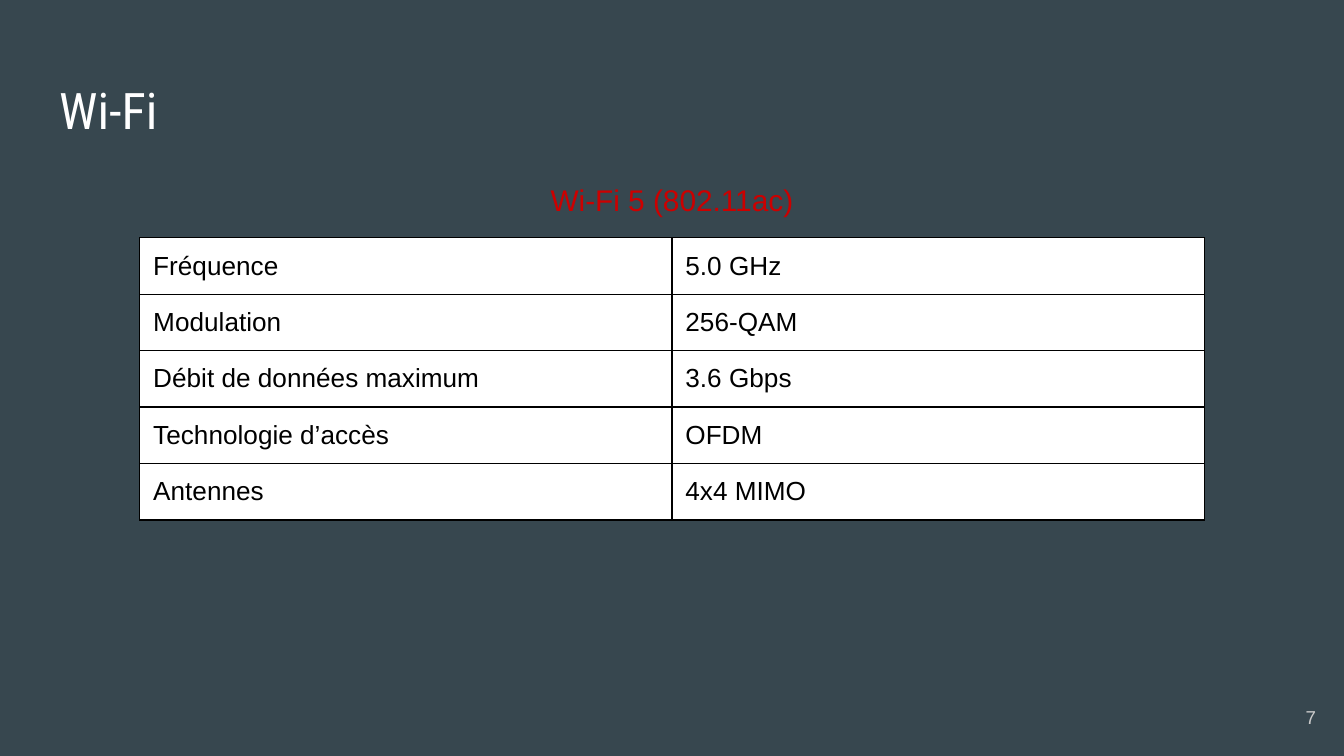
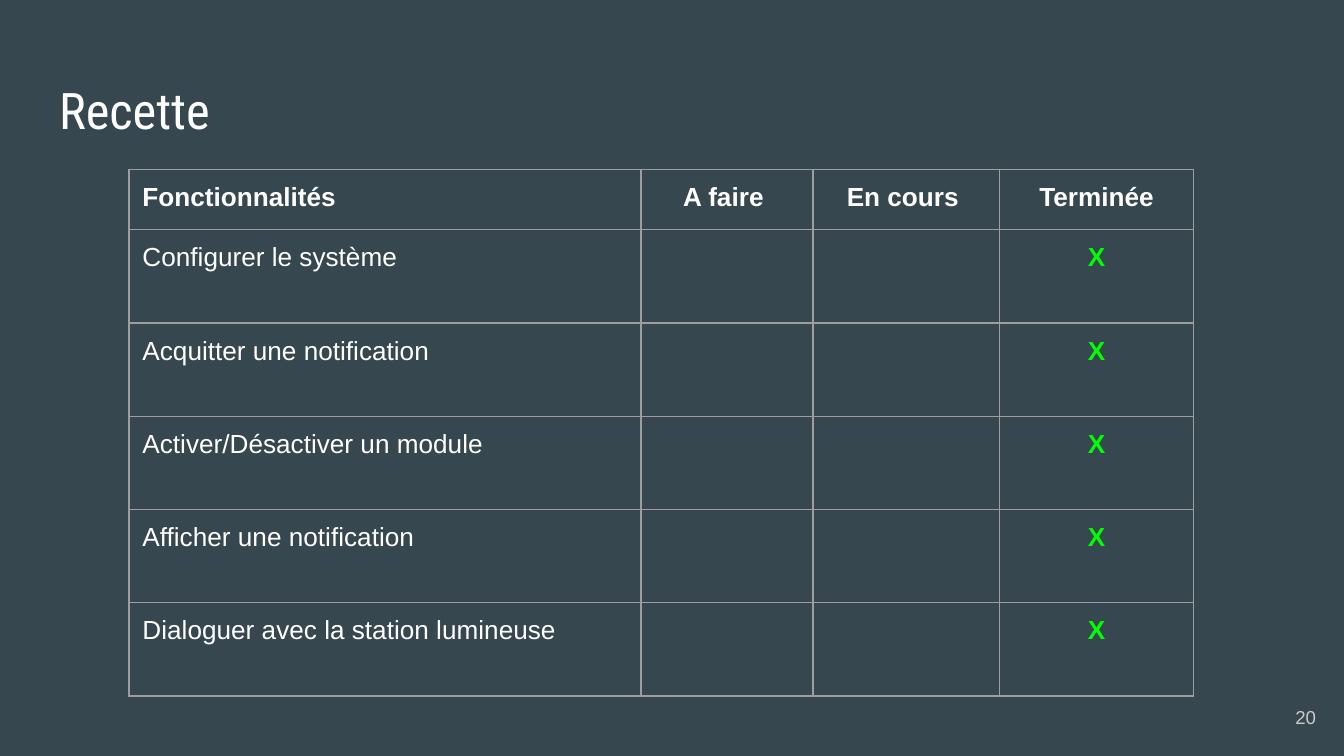
from lxml import etree
from pptx import Presentation
from pptx.dml.color import RGBColor
from pptx.enum.text import MSO_ANCHOR, PP_ALIGN
from pptx.oxml.ns import qn
from pptx.util import Inches, Pt

LEFT, MID, RIGHT = PP_ALIGN.LEFT, PP_ALIGN.CENTER, PP_ALIGN.RIGHT
TOP, CENTER = MSO_ANCHOR.TOP, MSO_ANCHOR.MIDDLE

BACK, WHITE, BLACK = "37474F", "FFFFFF", "000000"
RED, GREEN, GREY, PALE = "CC0000", "00FF00", "9E9E9E", "CACACA"
SANS, HEAD = "Arial", "Roboto Condensed"
PAD, FOOT = 0.1, 0.08

WIFI = [
    ("Fréquence", "5.0 GHz"),
    ("Modulation", "256-QAM"),
    ("Débit de données maximum", "3.6 Gbps"),
    ("Technologie d’accès", "OFDM"),
    ("Antennes", "4x4 MIMO"),
]
STATES = ("Fonctionnalités", "A faire ", "En cours ", "Terminée")
TASKS = [
    "Configurer le système",
    "Acquitter une notification",
    "Activer/Désactiver un module",
    "Afficher une notification",
    "Dialoguer avec la station lumineuse",
]


def color(code):
    return RGBColor.from_string(code)


def write(frame, text, size, code, font=SANS, align=LEFT, bold=False):
    para = frame.paragraphs[0]
    para.alignment = align
    run = para.add_run()
    run.text = text
    run.font.size = Pt(size)
    run.font.name = font
    run.font.bold = bold
    run.font.color.rgb = color(code)


def pad(item, foot=PAD):
    item.margin_left = item.margin_right = item.margin_top = Inches(PAD)
    item.margin_bottom = Inches(foot)


def place(shape, box, anchor=TOP):
    shape.left, shape.top, shape.width, shape.height = map(Inches, box)
    frame = shape.text_frame
    frame.word_wrap = True
    frame.vertical_anchor = anchor
    pad(frame)
    return frame


def add_text(slide, box, anchor=TOP):
    return place(slide.shapes.add_textbox(0, 0, 0, 0), box, anchor)


def add_slide(deck, title, page):
    slide = deck.slides.add_slide(deck.slide_layouts[5])
    fill = slide.background.fill
    fill.solid()
    fill.fore_color.rgb = color(BACK)
    frame = place(slide.shapes.title, (0.34, 0.49, 9.32, 0.63))
    write(frame, title, 27, WHITE, HEAD)
    frame = add_text(slide, (9.29, 5.12, 0.6, 0.43), CENTER)
    write(frame, page, 10, PALE, align=RIGHT)
    return slide


def add_edges(cell, code):
    props = cell._tc.get_or_add_tcPr()
    for side in ("a:lnL", "a:lnR", "a:lnT", "a:lnB"):
        line = etree.SubElement(props, qn(side), w=str(Pt(0.75)))
        solid = etree.SubElement(line, qn("a:solidFill"))
        etree.SubElement(solid, qn("a:srgbClr"), val=code)


def add_grid(slide, left, top, cols, rows, edge, back=None):
    size = map(Inches, (left, top, sum(cols), sum(rows)))
    grid = slide.shapes.add_table(len(rows), len(cols), *size).table
    grid.first_row = grid.horz_banding = False
    for col, width in zip(grid.columns, cols):
        col.width = Inches(width)
    for row, height in zip(grid.rows, rows):
        row.height = Inches(height)
    for cell in grid.iter_cells():
        pad(cell, FOOT)
        add_edges(cell, edge)
        if back:
            cell.fill.solid()
            cell.fill.fore_color.rgb = color(back)
        else:
            cell.fill.background()
    return grid


def build_wifi(deck):
    slide = add_slide(deck, "Wi-Fi", "7")
    frame = add_text(slide, (0.34, 1.25, 9.32, 3.74))
    write(frame, "Wi-Fi 5 (802.11ac)", 16, RED, align=MID)
    grid = add_grid(slide, 1.04, 1.77, [3.96] * 2, [0.42] * len(WIFI), BLACK, WHITE)
    for r, row in enumerate(WIFI):
        for c, text in enumerate(row):
            write(grid.cell(r, c).text_frame, text, 14, BLACK)


def build_tasks(deck):
    slide = add_slide(deck, "Recette", "20")
    cols = [3.81, 1.28, 1.39, 1.44]
    head, total = 0.45, 3.92
    rows = [head] + [(total - head) / len(TASKS)] * len(TASKS)
    grid = add_grid(slide, 0.96, 1.26, cols, rows, GREY)
    for c, text in enumerate(STATES):
        align = MID if c else LEFT
        write(grid.cell(0, c).text_frame, text, 14, WHITE, align=align, bold=True)
    last = len(STATES) - 1
    for r, task in enumerate(TASKS, 1):
        write(grid.cell(r, 0).text_frame, task, 14, WHITE)
        write(grid.cell(r, last).text_frame, "X", 14, GREEN, align=MID, bold=True)


def main():
    deck = Presentation()
    deck.slide_width = Inches(10)
    deck.slide_height = deck.slide_width * 9 // 16
    build_wifi(deck)
    build_tasks(deck)
    deck.save("out.pptx")


if __name__ == "__main__":
    main()
